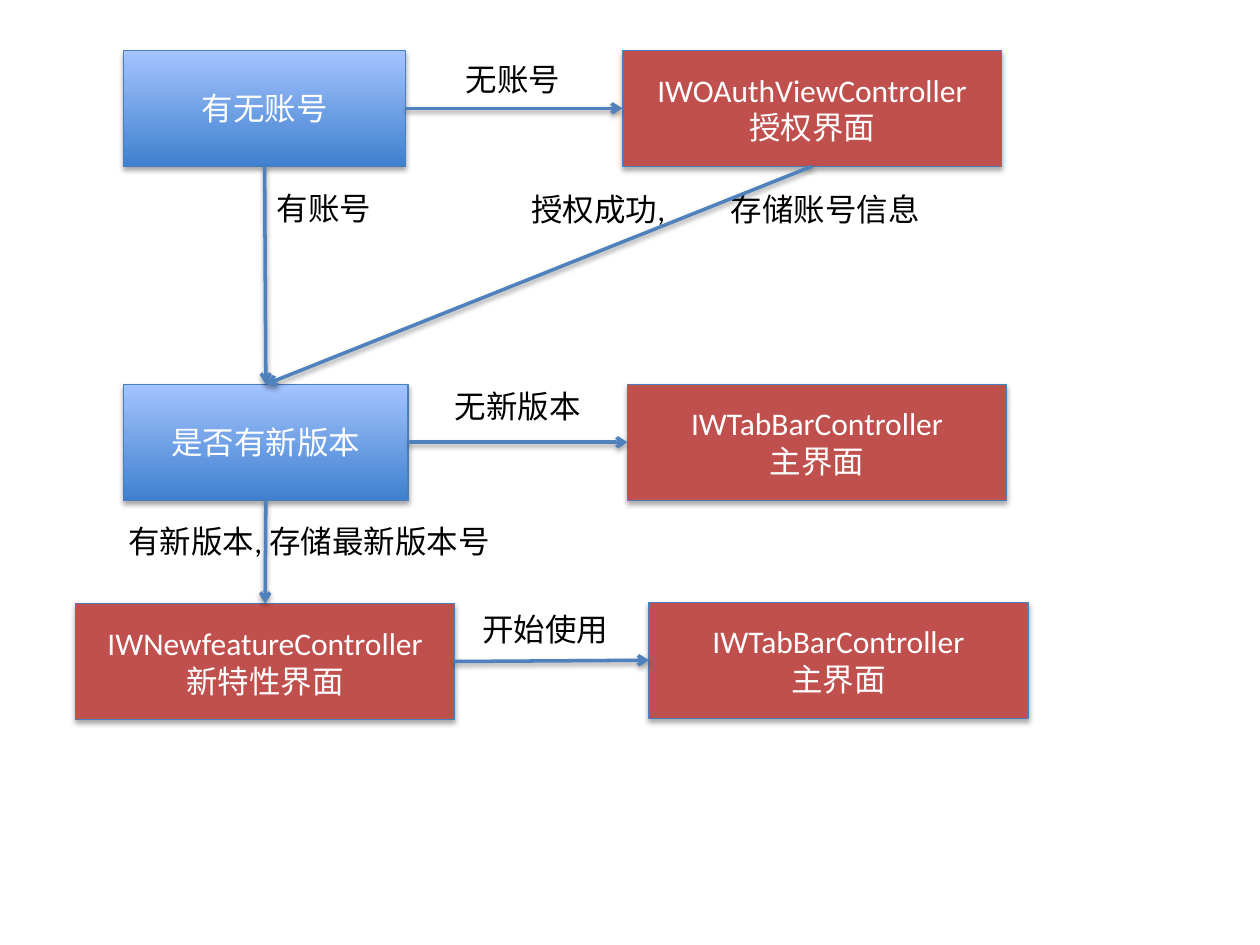
"""Build a flowchart slide of the account and version checks at app launch."""
import dataclasses
import enum
import typing

import lxml.etree
import pptx
import pptx.dml.color
import pptx.enum.shapes
import pptx.enum.text
import pptx.oxml.ns
import pptx.shapes.autoshape
import pptx.shapes.connector
import pptx.shapes.shapetree
import pptx.text.text
import pptx.util

Inches = pptx.util.Inches
qn = pptx.oxml.ns.qn

COLORS = {
    "question_bottom": "3F80CE",
    "question_top": "A4C4FF",
    "screen": "C0504D",
    "outline": "4B7EBC",
    "arrow": "4F81BD",
    "box_text": "FFFFFF",
    "label_text": "000000",
    "shadow": "000000",
}
FONT_NAME = "Calibri"
FONT_SIZE = pptx.util.Pt(18)
BOX_HEIGHT = 0.92
SCREEN_WIDTH = 3.01
LABEL_HEIGHT = 0.4


class Side(enum.IntEnum):
    TOP = 0
    LEFT = 1
    BOTTOM = 2
    RIGHT = 3


@dataclasses.dataclass(frozen=True)
class Box:
    name: str
    lines: tuple[str, ...]
    left: float
    top: float
    width: float = SCREEN_WIDTH
    is_question: bool = False


@dataclasses.dataclass(frozen=True)
class Label:
    text: str
    left: float
    top: float
    width: float
    wraps: bool = False
    tab_stop: typing.Optional[float] = None


@dataclasses.dataclass(frozen=True)
class Arrow:
    start: str
    start_side: Side
    end: str
    end_side: Side


BOXES = (
    Box("account", ("有无账号",), 0.98, 0.4, 2.24, True),
    Box("authorize", ("IWOAuthViewController", "授权界面"), 4.94, 0.4),
    Box("version", ("是否有新版本",), 0.98, 3.05, 2.26, True),
    Box("main", ("IWTabBarController", "主界面"), 4.98, 3.05),
    Box("new_feature", ("IWNewfeatureController", "新特性界面"), 0.6, 4.79),
    Box("main_after_feature", ("IWTabBarController", "主界面"), 5.15, 4.78),
)
LABELS = (
    Label("无账号", 3.6, 0.43, 0.96),
    Label("有账号", 2.1, 1.45, 0.96),
    Label("无新版本", 3.51, 3.02, 1.21),
    Label("有新版本, 存储最新版本号", 0.92, 4.09, 3.1, wraps=True),
    Label("开始使用", 3.73, 4.79, 1.21),
    Label("授权成功,\t存储账号信息", 4.12, 1.46, 3.6, wraps=True, tab_stop=1.58),
)
ARROWS = (
    Arrow("account", Side.RIGHT, "authorize", Side.LEFT),
    Arrow("account", Side.BOTTOM, "version", Side.TOP),
    Arrow("version", Side.RIGHT, "main", Side.LEFT),
    Arrow("version", Side.BOTTOM, "new_feature", Side.TOP),
    Arrow("new_feature", Side.RIGHT, "main_after_feature", Side.LEFT),
    Arrow("authorize", Side.BOTTOM, "version", Side.TOP),
)


def color(name: str) -> pptx.dml.color.RGBColor:
    return pptx.dml.color.RGBColor.from_string(COLORS[name])


def format_font(paragraph: pptx.text.text._Paragraph, color_name: str) -> None:
    paragraph.font.name = FONT_NAME
    paragraph.font.size = FONT_SIZE
    paragraph.font.color.rgb = color(color_name)


def add_shadow(
    effects: lxml.etree._Element, distance: float, opacity: int
) -> None:
    shadow = lxml.etree.SubElement(
        effects,
        qn("a:outerShdw"),
        blurRad=str(pptx.util.Pt(3.1)),
        dist=str(pptx.util.Pt(distance)),
        dir="5400000",
        rotWithShape="0",
    )
    shade = lxml.etree.SubElement(shadow, qn("a:srgbClr"), val=COLORS["shadow"])
    lxml.etree.SubElement(shade, qn("a:alpha"), val=str(opacity * 1000))


def add_box(
    shapes: pptx.shapes.shapetree.SlideShapes, box: Box
) -> pptx.shapes.autoshape.Shape:
    shape = shapes.add_shape(
        pptx.enum.shapes.MSO_SHAPE.RECTANGLE,
        Inches(box.left), Inches(box.top), Inches(box.width), Inches(BOX_HEIGHT),
    )
    if box.is_question:
        shape.fill.gradient()
        shape.fill.gradient_angle = 90
        stops = shape.fill.gradient_stops
        for stop, name in zip(stops, ("question_bottom", "question_top")):
            stop.color.rgb = color(name)
    else:
        shape.fill.solid()
        shape.fill.fore_color.rgb = color("screen")
    shape.line.color.rgb = color("outline")
    shape.line.width = pptx.util.Pt(0.75)
    shape.shadow.inherit = False
    add_shadow(shape.element.spPr.find(qn("a:effectLst")), 1.8, 35)
    shape.text_frame.vertical_anchor = pptx.enum.text.MSO_ANCHOR.MIDDLE
    shape.text_frame.text = "\n".join(box.lines)
    for paragraph in shape.text_frame.paragraphs:
        paragraph.alignment = pptx.enum.text.PP_ALIGN.CENTER
        format_font(paragraph, "box_text")
    return shape


def add_label(shapes: pptx.shapes.shapetree.SlideShapes, label: Label) -> None:
    shape = shapes.add_textbox(
        Inches(label.left), Inches(label.top),
        Inches(label.width), Inches(LABEL_HEIGHT),
    )
    frame = shape.text_frame
    frame.word_wrap = label.wraps
    frame.auto_size = pptx.enum.text.MSO_AUTO_SIZE.SHAPE_TO_FIT_TEXT
    frame.text = label.text
    paragraph = frame.paragraphs[0]
    format_font(paragraph, "label_text")
    if label.tab_stop is not None:
        tabs = lxml.etree.Element(qn("a:tabLst"))
        position = str(Inches(label.tab_stop))
        lxml.etree.SubElement(tabs, qn("a:tab"), pos=position, algn="l")
        paragraph.font
        properties = shape.element.find(".//" + qn("a:pPr"))
        properties.insert(0, tabs)


def add_arrow(
    shapes: pptx.shapes.shapetree.SlideShapes,
    arrow: Arrow,
    boxes: dict[str, pptx.shapes.autoshape.Shape],
) -> None:
    connector = shapes.add_connector(
        pptx.enum.shapes.MSO_CONNECTOR.STRAIGHT, 0, 0, 0, 0
    )
    connector.begin_connect(boxes[arrow.start], arrow.start_side.value)
    connector.end_connect(boxes[arrow.end], arrow.end_side.value)
    connector.line.color.rgb = color("arrow")
    connector.line.width = pptx.util.Pt(2)
    properties = connector.element.spPr
    line = properties.find(qn("a:ln"))
    lxml.etree.SubElement(line, qn("a:tailEnd"), type="arrow")
    add_shadow(lxml.etree.SubElement(properties, qn("a:effectLst")), 1.6, 38)


def main() -> None:
    presentation = pptx.Presentation()
    presentation.slide_width = Inches(10)
    presentation.slide_height = Inches(7.5)
    slide = presentation.slides.add_slide(presentation.slide_layouts[6])
    boxes = {box.name: add_box(slide.shapes, box) for box in BOXES}
    for label in LABELS:
        add_label(slide.shapes, label)
    for arrow in ARROWS:
        add_arrow(slide.shapes, arrow, boxes)
    presentation.save("out.pptx")


if __name__ == "__main__":
    main()
